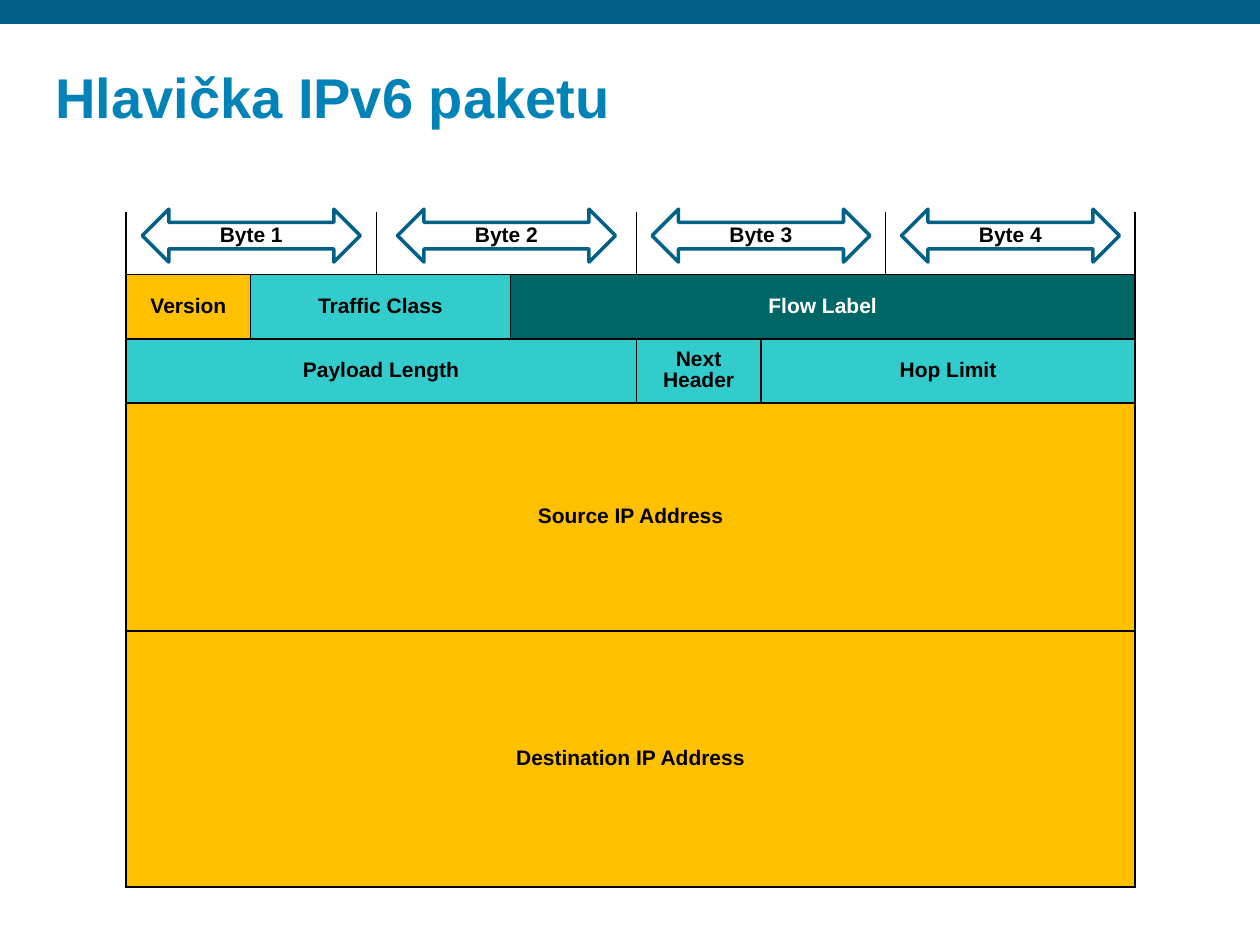
from dataclasses import dataclass

from lxml import etree
from pptx import Presentation
from pptx.dml.color import RGBColor
from pptx.enum.shapes import MSO_SHAPE
from pptx.enum.text import MSO_ANCHOR, PP_ALIGN
from pptx.oxml.ns import qn
from pptx.util import Inches, Pt

RECTANGLE = MSO_SHAPE.RECTANGLE
DOUBLE_ARROW = MSO_SHAPE.LEFT_RIGHT_ARROW
MIDDLE, BOTTOM = MSO_ANCHOR.MIDDLE, MSO_ANCHOR.BOTTOM
LEFT, CENTER = PP_ALIGN.LEFT, PP_ALIGN.CENTER


@dataclass(frozen=True)
class Theme:
    """Colours, font and type sizes of the slide."""
    font: str = "Arial"
    bar: str = "015F85"
    title: str = "0183B7"
    arrow: str = "016187"
    dark: str = "000000"
    light: str = "FFFFFF"
    amber: str = "FFC000"
    aqua: str = "33CCCC"
    teal: str = "006666"
    title_size: int = 32
    label_size: int = 12


THEME = Theme()
COLUMN_WIDTHS = (0.99, 1, 1.06, 1, 0.99, 0.99, 1.98)
ROW_HEIGHTS = (0.5, 0.51, 0.51, 1.81, 2.03)
BYTE_SPANS = (2, 2, 2, 1)
HEADER_ROWS = (
    (("Version", 1, THEME.amber), ("Traffic Class", 2, THEME.aqua), ("Flow Label", 4, THEME.teal)),
    (("Payload Length", 4, THEME.aqua), ("Next Header", 1, THEME.aqua), ("Hop Limit", 2, THEME.aqua)),
    (("Source IP Address", 7, THEME.amber),),
    (("Destination IP Address", 7, THEME.amber),),
)


def write_text(text_frame, text, size, color, alignment):
    """Write one bold line of text into a text frame."""
    paragraph = text_frame.paragraphs[0]
    paragraph.alignment = alignment
    paragraph.line_spacing = 0.9
    run = paragraph.add_run()
    run.text = text
    run.font.name = THEME.font
    run.font.size = Pt(size)
    run.font.bold = True
    run.font.color.rgb = RGBColor.from_string(color)


def set_borders(cell, sides):
    """Draw the named sides of a cell and hide the others."""
    properties = cell._tc.get_or_add_tcPr()
    for side in "LRTB":
        line = etree.SubElement(properties, qn(f"a:ln{side}"), w=str(Pt(1)))
        if side in sides:
            fill = etree.SubElement(line, qn("a:solidFill"))
            etree.SubElement(fill, qn("a:srgbClr"), val=THEME.dark)
        else:
            etree.SubElement(line, qn("a:noFill"))


def add_top_bar(slide, left, top, width, height):
    """Add the coloured bar across the top of the slide."""
    bar = slide.shapes.add_shape(RECTANGLE, left, top, width, height)
    bar.shadow.inherit = False
    bar.fill.solid()
    bar.fill.fore_color.rgb = RGBColor.from_string(THEME.bar)
    bar.line.fill.background()


def add_title(slide, left, top, width, height, text):
    """Add the slide title, resting on the bottom of its box."""
    text_frame = slide.shapes.add_textbox(left, top, width, height).text_frame
    text_frame.word_wrap = True
    text_frame.vertical_anchor = BOTTOM
    text_frame.margin_left = text_frame.margin_right = Inches(0.09)
    text_frame.margin_top = text_frame.margin_bottom = Inches(0.04)
    write_text(text_frame, text, THEME.title_size, THEME.title, LEFT)


def fill_field(table, row, column, span, sides, color=None, text=None):
    """Merge the cells of one field and give it borders, fill and text."""
    field = table.cell(row, column)
    if span > 1:
        field.merge(table.cell(row, column + span - 1))
    for index in range(column, column + span):
        cell = table.cell(row, index)
        set_borders(cell, sides)
        if color:
            cell.fill.solid()
            cell.fill.fore_color.rgb = RGBColor.from_string(color)
        else:
            cell.fill.background()
    if text:
        field.vertical_anchor = MIDDLE
        text_color = THEME.light if color == THEME.teal else THEME.dark
        write_text(field.text_frame, text, THEME.label_size, text_color, CENTER)


def add_packet_table(slide, left, top):
    """Add the header fields under an open row of byte columns."""
    table = slide.shapes.add_table(
        len(ROW_HEIGHTS), len(COLUMN_WIDTHS), left, top,
        Inches(sum(COLUMN_WIDTHS)), Inches(sum(ROW_HEIGHTS))).table
    table.first_row = table.horz_banding = False
    for column, width in zip(table.columns, COLUMN_WIDTHS):
        column.width = Inches(width)
    for row, height in zip(table.rows, ROW_HEIGHTS):
        row.height = Inches(height)

    column = 0
    for span in BYTE_SPANS:
        fill_field(table, 0, column, span, "LRB")
        column += span
    for row, fields in enumerate(HEADER_ROWS, start=1):
        column = 0
        for text, span, color in fields:
            fill_field(table, row, column, span, "LRTB", color, text)
            column += span


def add_byte_arrows(slide, left, top):
    """Centre one labelled double arrow over each byte column."""
    arrow_width, arrow_height = Inches(1.73), Inches(0.42)
    column = 0
    for number, span in enumerate(BYTE_SPANS, start=1):
        byte_width = Inches(sum(COLUMN_WIDTHS[column:column + span]))
        arrow = slide.shapes.add_shape(
            DOUBLE_ARROW, left + (byte_width - arrow_width) // 2, top, arrow_width, arrow_height)
        arrow.shadow.inherit = False
        arrow.fill.background()
        arrow.line.color.rgb = RGBColor.from_string(THEME.arrow)
        arrow.line.width = Pt(2)
        text_frame = arrow.text_frame
        text_frame.vertical_anchor = MIDDLE
        text_frame.margin_top = text_frame.margin_bottom = 0
        write_text(text_frame, f"Byte {number}", THEME.label_size, THEME.dark, CENTER)
        left += byte_width
        column += span


def main():
    """Build the slide and save it."""
    presentation = Presentation()
    presentation.slide_width = Inches(10)
    presentation.slide_height = Inches(7.5)
    slide = presentation.slides.add_slide(presentation.slide_layouts[6])
    add_top_bar(slide, 0, 0, presentation.slide_width, Inches(0.19))
    add_title(slide, Inches(0.35), Inches(0.33), Inches(9.29), Inches(0.75), "Hlavička IPv6 paketu")
    add_packet_table(slide, Inches(1), Inches(1.68))
    add_byte_arrows(slide, Inches(1), Inches(1.66))
    presentation.save("out.pptx")


if __name__ == "__main__":
    main()
